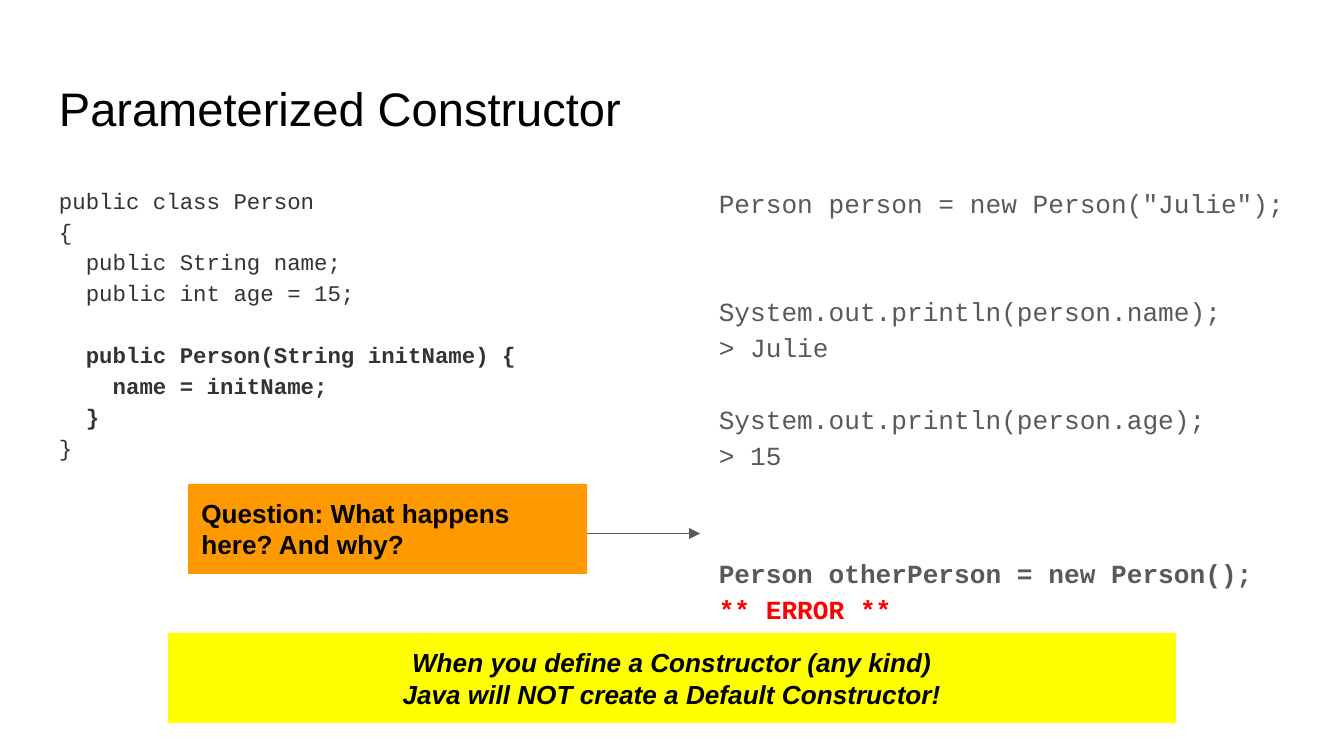
from lxml.etree import SubElement
from pptx import Presentation
from pptx.dml.color import RGBColor
from pptx.enum.shapes import MSO_CONNECTOR, MSO_SHAPE
from pptx.enum.text import MSO_ANCHOR, PP_ALIGN
from pptx.oxml.ns import qn
from pptx.util import Inches, Pt

COLORS = {"black": "000000", "code": "333333", "usage": "595959",
          "error": "FF0000", "question": "FF9900", "answer": "FFFF00"}
SANS, MONO = "Arial", "Courier New"
CODE_SPACING = 1.15
CODE_PITCH = 1.375  # height of one code line, as a multiple of its font size

TITLE = "Parameterized Constructor"
# Paragraphs of code: blank lines above, then lines of text, bold, colour
CLASS_CODE = [
    (0, [("public class Person", False, "code")]),
    (0, [("{", False, "code")]),
    (0, [("  public String name;", False, "code")]),
    (0, [("  public int age = 15;", False, "code")]),
    (1, [("  public Person(String initName) {", True, "code")]),
    (0, [("    name = initName;", True, "code")]),
    (0, [("  }", True, "code")]),
    (0, [("}", False, "code")]),
]
USAGE_CODE = [
    (0, [('Person person = new Person("Julie");', False, "usage")]),
    (2, [("System.out.println(person.name);", False, "usage"),
         ("> Julie", False, "usage")]),
    (1, [("System.out.println(person.age);", False, "usage"),
         ("> 15", False, "usage")]),
    (2.28, [("Person otherPerson = new Person();", True, "usage"),
            ("** ERROR **", True, "error")]),
]
QUESTION = ["Question: What happens here? And why?"]
ANSWER = ["When you define a Constructor (any kind)",
          "Java will NOT create a Default Constructor!"]


def rgb(name):
    return RGBColor.from_string(COLORS[name])


def prepare_frame(shape, anchor):
    frame = shape.text_frame
    frame.word_wrap = True
    frame.vertical_anchor = anchor
    frame.margin_left = frame.margin_right = Inches(0.1)
    frame.margin_top = frame.margin_bottom = Inches(0.1)
    return frame


def add_lines(paragraph, lines, size, face, italic=False):
    """Fill a paragraph with (text, bold, colour) lines, parted by line breaks."""
    for index, (text, bold, color) in enumerate(lines):
        if index:
            paragraph.add_line_break()
        run = paragraph.add_run()
        run.text = text
        font = run.font
        font.size, font.name, font.bold, font.italic = Pt(size), face, bold, italic
        font.color.rgb = rgb(color)


def add_code(slide, box, blocks, size):
    frame = prepare_frame(slide.shapes.add_textbox(*map(Inches, box)), MSO_ANCHOR.TOP)
    for index, (blanks, lines) in enumerate(blocks):
        paragraph = frame.add_paragraph() if index else frame.paragraphs[0]
        paragraph.line_spacing = CODE_SPACING
        if blanks:
            paragraph.space_before = Pt(round(blanks * size * CODE_PITCH, 1))
        add_lines(paragraph, lines, size, MONO)


def add_callout(slide, box, lines, fill, align, italic):
    callout = slide.shapes.add_shape(MSO_SHAPE.RECTANGLE, *map(Inches, box))
    callout.shadow.inherit = False
    callout.fill.solid()
    callout.fill.fore_color.rgb = rgb(fill)
    callout.line.fill.background()
    paragraph = prepare_frame(callout, MSO_ANCHOR.MIDDLE).paragraphs[0]
    paragraph.alignment = align
    add_lines(paragraph, [(text, True, "black") for text in lines], 14, SANS, italic)


def add_arrow(slide, left, right, y):
    arrow = slide.shapes.add_connector(
        MSO_CONNECTOR.STRAIGHT, *map(Inches, (left, y, right, y)))
    arrow.line.color.rgb = rgb("usage")
    arrow.line.width = Pt(0.75)
    outline = arrow._element.spPr.find(qn("a:ln"))
    SubElement(outline, qn("a:tailEnd"), type="triangle", w="med", len="med")
    SubElement(arrow._element.spPr, qn("a:effectLst"))


def main():
    deck = Presentation()
    deck.slide_width = Inches(10)
    deck.slide_height = deck.slide_width * 9 // 16
    slide = deck.slides.add_slide(deck.slide_layouts[6])

    title_box = slide.shapes.add_textbox(*map(Inches, (0.34, 0.49, 9.32, 0.63)))
    title_frame = prepare_frame(title_box, MSO_ANCHOR.TOP)
    add_lines(title_frame.paragraphs[0], [(TITLE, False, "black")], 25.2, SANS)

    add_code(slide, (0.34, 1.26, 4.99, 3.74), CLASS_CODE, 12)
    add_code(slide, (5.25, 1.26, 4.66, 3.74), USAGE_CODE, 14)
    add_arrow(slide, 4.36, 5.21, 3.97)
    add_callout(slide, (1.25, 4.71, 7.5, 0.67), ANSWER, "answer", PP_ALIGN.CENTER, True)
    add_callout(slide, (1.4, 3.6, 2.97, 0.67), QUESTION, "question", PP_ALIGN.LEFT, False)
    deck.save("out.pptx")


if __name__ == "__main__":
    main()
